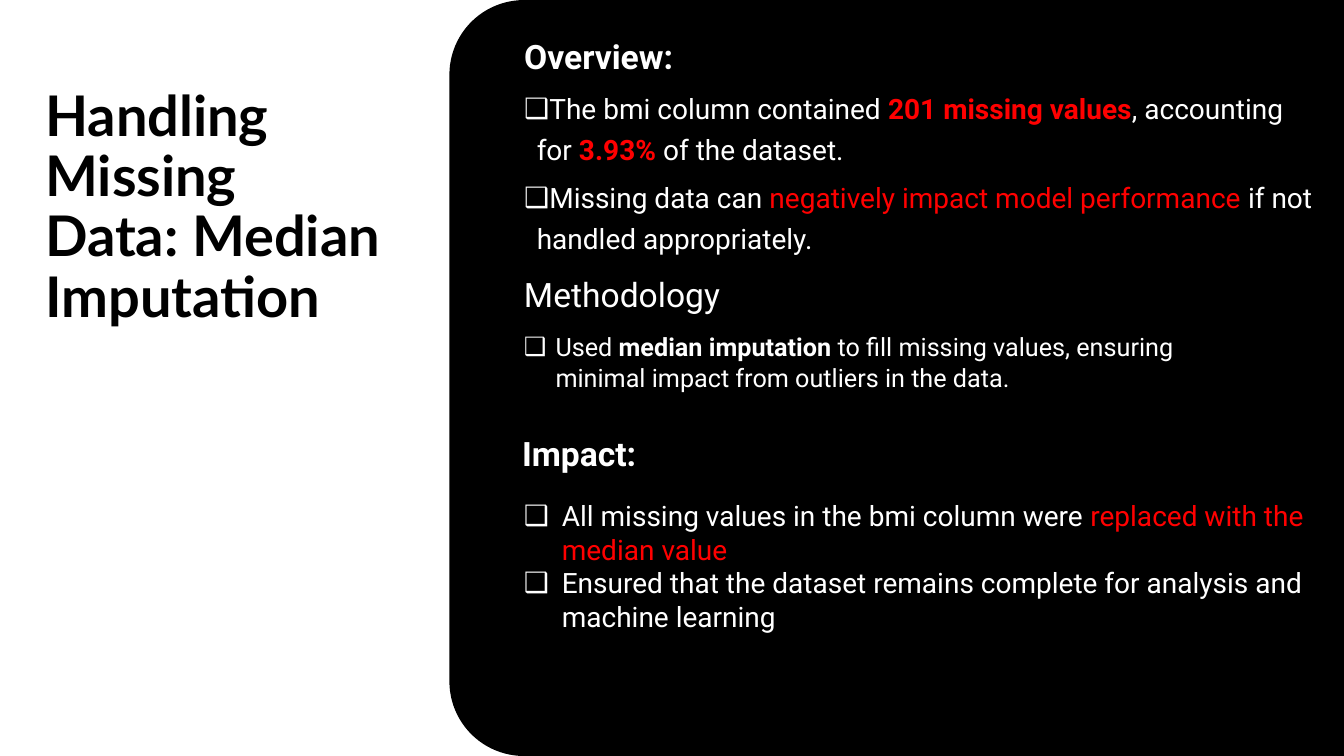
import pptx
import pptx.util
import pptx.dml.color
import pptx.enum.shapes
import pptx.enum.text
import pptx.oxml.ns
from lxml import etree

Pt = pptx.util.Pt
COLORS = {"black": "000000", "white": "FFFFFF", "red": "FF0000"}
SLIDE_W, SLIDE_H = 960, 540
PANEL_LEFT, CORNER = 321, 53.3
TEXT_LEFT = 367.2


def rgb(name):
    return pptx.dml.color.RGBColor.from_string(COLORS[name])


def set_bullet(p, char, margin, hang):
    pPr = p._p.get_or_add_pPr()
    pPr.set("marL", str(Pt(margin)))
    pPr.set("indent", str(Pt(-hang)))
    qn = pptx.oxml.ns.qn
    if char:
        etree.SubElement(pPr, qn("a:buFont")).set("typeface", "Arial")
        etree.SubElement(pPr, qn("a:buChar")).set("char", char)
    else:
        etree.SubElement(pPr, qn("a:buNone"))


def add_text(p, runs, size, font="Roboto", color="white", bold=False, bullet=None,
             margin=0, hang=0, line=1.0, after=0):
    """Fill paragraph p; a run is a string or (string, overrides of color and bold)."""
    set_bullet(p, bullet, margin, hang)
    p.alignment = pptx.enum.text.PP_ALIGN.LEFT
    p.line_spacing = line
    p.space_before = Pt(0)
    p.space_after = Pt(after)
    for run in [runs] if isinstance(runs, str) else runs:
        text, own = (run, {}) if isinstance(run, str) else run
        r = p.add_run()
        r.text = text
        r.font.name = font
        r.font.size = Pt(size)
        r.font.bold = own.get("bold", bold)
        r.font.color.rgb = rgb(own.get("color", color))


class SlideBuilder:
    def __init__(self, prs):
        self.s = prs.slides.add_slide(prs.slide_layouts[1])
        self.title = self.s.shapes.title
        self.body = self.s.placeholders[1]

    def background(self, color):
        self.s.background.fill.solid()
        self.s.background.fill.fore_color.rgb = rgb(color)

    def backdrop(self, kind, left, top, width, height, color):
        """Add a plain shape behind the placeholders."""
        sp = self.s.shapes.add_shape(kind, Pt(left), Pt(top), Pt(width), Pt(height))
        sp.shadow.inherit = False
        sp.fill.solid()
        sp.fill.fore_color.rgb = rgb(color)
        sp.line.fill.background()
        self.title.element.addprevious(sp.element)
        return sp

    def fill_frame(self, sp, left, top, width, height, paragraphs, **style):
        sp.left, sp.top, sp.width, sp.height = Pt(left), Pt(top), Pt(width), Pt(height)
        tf = sp.text_frame
        tf.word_wrap = True
        tf.auto_size = pptx.enum.text.MSO_AUTO_SIZE.NONE
        tf.vertical_anchor = pptx.enum.text.MSO_ANCHOR.TOP
        for i, (runs, own) in enumerate(paragraphs):
            p = tf.add_paragraph() if i else tf.paragraphs[0]
            add_text(p, runs, **{**style, **own})

    def text_box(self, left, top, width, height, paragraphs, **style):
        sp = self.s.shapes.add_textbox(0, 0, 0, 0)
        self.fill_frame(sp, left, top, width, height, paragraphs, **style)


def main():
    prs = pptx.Presentation()
    prs.slide_width, prs.slide_height = Pt(SLIDE_W), Pt(SLIDE_H)
    b = SlideBuilder(prs)
    shapes = pptx.enum.shapes.MSO_SHAPE
    b.background("black")
    b.backdrop(shapes.RECTANGLE, 0, 0, SLIDE_W, SLIDE_H, "white")

    # The panel's rounded top is turned to face left, so its sides swap.
    panel_w = SLIDE_W - PANEL_LEFT
    shift = (panel_w - SLIDE_H) / 2
    panel = b.backdrop(shapes.ROUND_2_SAME_RECTANGLE, PANEL_LEFT + shift, -shift,
                       SLIDE_H, panel_w, "black")
    panel.rotation = 270
    panel.adjustments[0] = CORNER / SLIDE_H

    b.fill_frame(b.title, 25.2, 59, 254.2, 428.4,
                 [("Handling Missing Data: Median Imputation", {})],
                 size=40, font="Lato", color="black", bold=True, line=0.9, after=6)

    red, red_bold = {"color": "red"}, {"color": "red", "bold": True}
    item = {"bullet": "❑", "margin": 9, "hang": 27}
    b.fill_frame(b.body, TEXT_LEFT, 16.6, 586, 194.4, [
        ("Overview:", {"size": 24, "bold": True}),
        (["The bmi column contained ", ("201 missing values", red_bold),
          ", accounting for ", ("3.93% ", red_bold), "of the dataset."], item),
        (["Missing data can ", ("negatively impact model performance ", red),
          "if not handled appropriately."], item),
    ], size=20, line=1.2, after=6)

    b.text_box(TEXT_LEFT, 192.2, 480, 36, [("Methodology", {})], size=24)
    b.text_box(TEXT_LEFT, 233.3, 480, 51, [
        (["Used ", ("median imputation", {"bold": True}),
          " to fill missing values, ensuring minimal impact from outliers in the data."], {}),
    ], size=18, bullet="❑", margin=22.5, hang=22.5)

    b.text_box(TEXT_LEFT - 1.4, 306, 480, 36, [("Impact:", {})], size=24, bold=True)
    b.text_box(TEXT_LEFT, 352.6, 592.8, 104, [
        (["All missing values in the bmi column were ",
          ("replaced with the median value", red)], {}),
        ("Ensured that the dataset remains complete for analysis and machine learning", {}),
    ], size=20, bullet="❑", margin=27, hang=27)

    prs.save("out.pptx")


if __name__ == "__main__":
    main()
